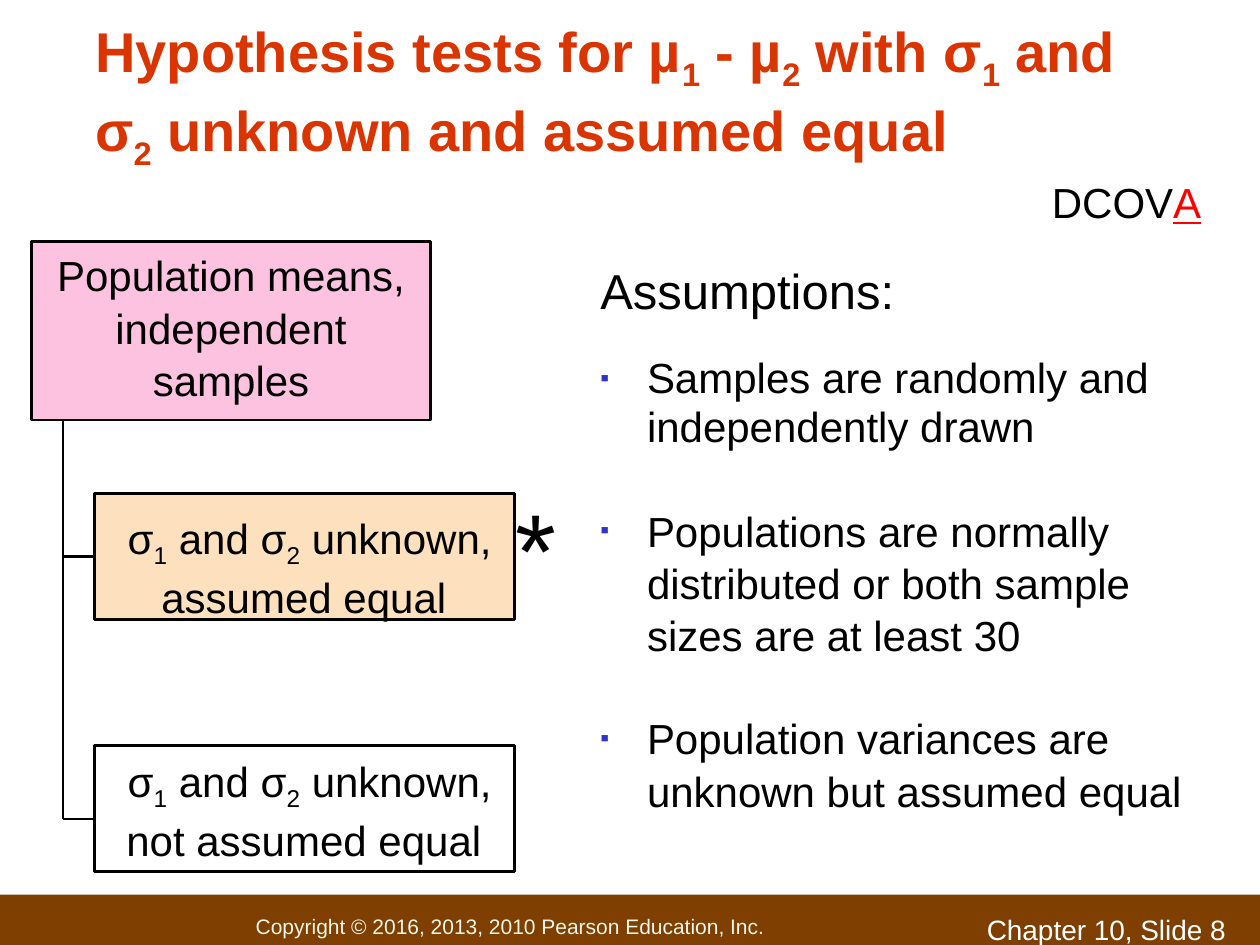
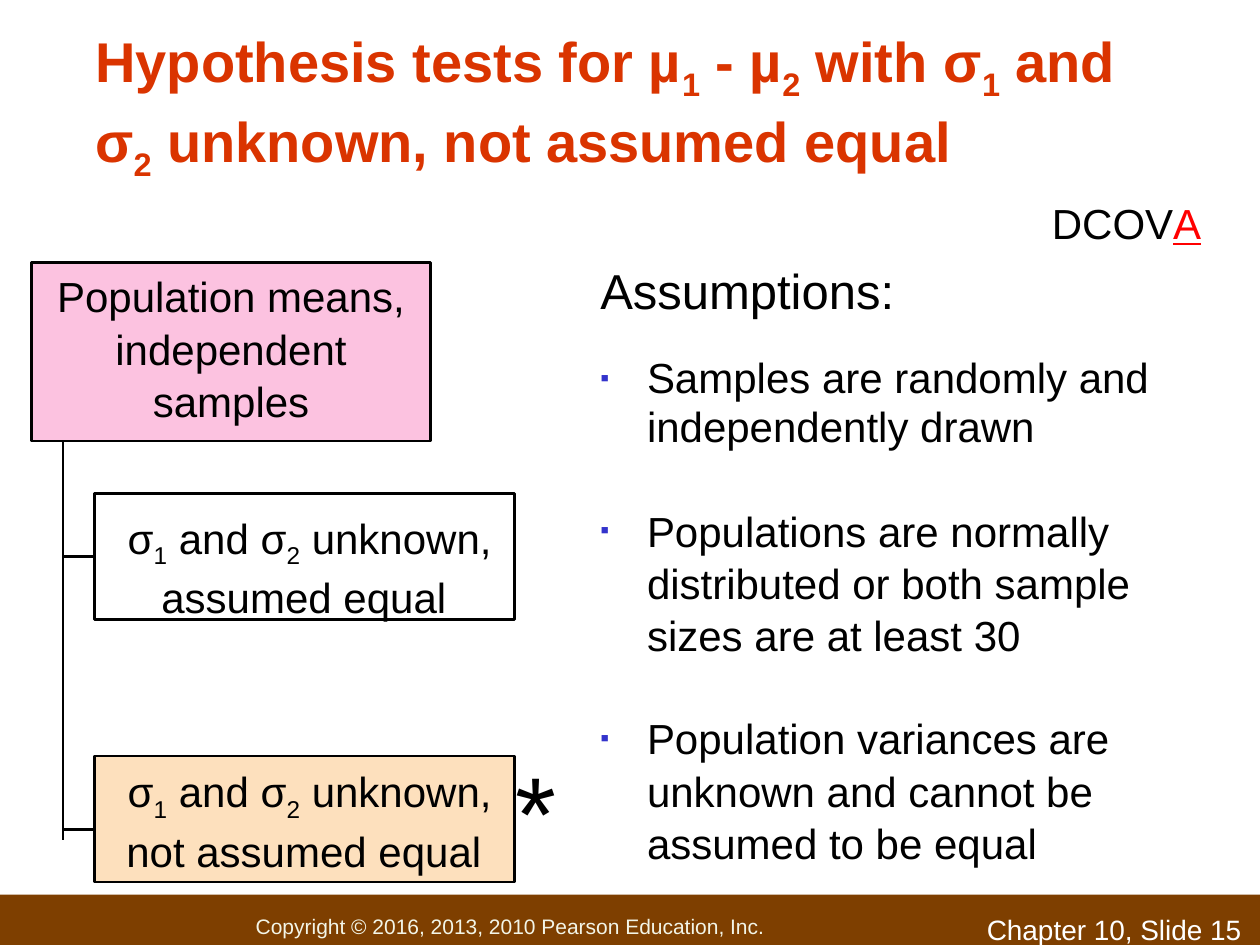
import pptx
import pptx.util
import pptx.dml.color
import pptx.enum.shapes
import pptx.enum.text
import pptx.oxml.ns
import lxml.etree

COLUMNS, ROWS = 120, 90
BLACK, WHITE, RED = "000000", "FFFFFF", "FF0000"
TITLE, BAND, COPYRIGHT = "DA3400", "7E3F00", "F3F5E7"
PINK, PEACH, BULLET = "FCC2E0", "FDE0BD", "3333CC"
ALIGN = pptx.enum.text.PP_ALIGN
ANCHOR = pptx.enum.text.MSO_ANCHOR


def color(code):
    return pptx.dml.color.RGBColor.from_string(code)


class Deck:
    font = "Arial"
    line_width = 1.5
    spacing = 1.04
    insets = (0.1, 0.05, 0.1, 0.05)

    def __init__(self):
        self.prs = pptx.Presentation()
        self.prs.slide_width = pptx.util.Inches(10)
        self.prs.slide_height = pptx.util.Inches(7.5)
        self.slide = None

    def x(self, columns):
        return round(self.prs.slide_width * columns / COLUMNS)

    def y(self, rows):
        return round(self.prs.slide_height * rows / ROWS)

    def cells(self, left, top, width, height):
        return self.x(left), self.y(top), self.x(width), self.y(height)

    def add_slide(self):
        self.slide = self.prs.slides.add_slide(self.prs.slide_layouts[5])

    def frame(self, shape, insets=None, anchor=ANCHOR.TOP):
        frame = shape.text_frame
        frame.word_wrap = True
        frame.auto_size = pptx.enum.text.MSO_AUTO_SIZE.NONE
        frame.vertical_anchor = anchor
        sides = [pptx.util.Inches(inset) for inset in insets or self.insets]
        frame.margin_left, frame.margin_top, frame.margin_right, frame.margin_bottom = sides
        return frame

    def fill_paragraph(self, paragraph, text, size, code=BLACK, align=ALIGN.LEFT, bold=False):
        plain, *subscripted = text.split("_")
        paragraph.add_run().text = plain
        for part in subscripted:
            index = paragraph.add_run()
            index.text = part[0]
            index._r.get_or_add_rPr().set("baseline", "-25000")
            if part[1:]:
                paragraph.add_run().text = part[1:]
        paragraph.alignment = align
        paragraph.line_spacing = self.spacing
        paragraph.font.name = self.font
        paragraph.font.size = pptx.util.Pt(size)
        paragraph.font.bold = bold
        paragraph.font.color.rgb = color(code)

    def title(self, text, cells):
        heading = self.slide.shapes.title
        heading.left, heading.top, heading.width, heading.height = self.cells(*cells)
        frame = self.frame(heading, (0.09, 0.05, 0.09, 0.05), ANCHOR.BOTTOM)
        self.fill_paragraph(frame.paragraphs[0], text, 32, TITLE, bold=True)

    def text(self, text, cells, size, **style):
        box = self.slide.shapes.add_textbox(*self.cells(*cells))
        frame = self.frame(box)
        self.fill_paragraph(frame.paragraphs[0], text, size, **style)
        return frame

    def box(self, text, cells, fill=None, line=BLACK, insets=None,
            anchor=ANCHOR.TOP, size=24, **style):
        shape = self.slide.shapes.add_shape(
            pptx.enum.shapes.MSO_SHAPE.RECTANGLE, *self.cells(*cells))
        shape.shadow.inherit = False
        if fill:
            shape.fill.solid()
            shape.fill.fore_color.rgb = color(fill)
        else:
            shape.fill.background()
        if line:
            shape.line.color.rgb = color(line)
            shape.line.width = pptx.util.Pt(self.line_width)
        else:
            shape.line.fill.background()
        frame = self.frame(shape, insets, anchor)
        self.fill_paragraph(frame.paragraphs[0], text, size, **style)
        return shape

    def line(self, x1, y1, x2, y2):
        line = self.slide.shapes.add_connector(
            pptx.enum.shapes.MSO_CONNECTOR.STRAIGHT,
            self.x(x1), self.y(y1), self.x(x2), self.y(y2))
        line.line.color.rgb = color(BLACK)
        line.line.width = pptx.util.Pt(self.line_width)
        lxml.etree.SubElement(line._element.spPr, pptx.oxml.ns.qn("a:effectLst"))
        return line

    def bullet(self, frame, text, gap, spacing):
        paragraph = frame.add_paragraph()
        properties = paragraph._p.get_or_add_pPr()
        indent = pptx.util.Inches(0.37)
        properties.set("marL", str(indent))
        properties.set("indent", str(-indent))
        tint = lxml.etree.SubElement(properties, pptx.oxml.ns.qn("a:buClr"))
        lxml.etree.SubElement(tint, pptx.oxml.ns.qn("a:srgbClr"), val=BULLET)
        for tag, attributes in (("a:buSzPct", {"val": "60000"}),
                                ("a:buFont", {"typeface": self.font}),
                                ("a:buChar", {"char": "▪"})):
            lxml.etree.SubElement(properties, pptx.oxml.ns.qn(tag), attributes)
        self.fill_paragraph(paragraph, text, 24)
        paragraph.space_before = pptx.util.Pt(gap)
        paragraph.line_spacing = spacing

    def footer(self, number):
        self.box("Copyright © 2016, 2013, 2010 Pearson Education, Inc.",
                 (0, 85.2, COLUMNS, 5.9), BAND, None, (2.03, 0, 0, 0),
                 ANCHOR.MIDDLE, 12, code=COPYRIGHT)
        self.text(f"Chapter 10, Slide {number}", (92.8, 86.2, 28, 3.1), 16, code=WHITE)

    def step_marker(self, top):
        marker = self.text("DCOV", (99, top, 19, 6), 24).paragraphs[0]
        current = marker.add_run()
        current.text = "A"
        current.font.underline = True
        current.font.color.rgb = color(RED)

    def tree(self, root_top, cases, chosen):
        trunk, case_left, case_height = 6, 9, 12
        root_height = 17
        self.box("Population means, independent samples",
                 (3, root_top, 38, root_height), PINK,
                 insets=(0.18, 0.05, 0.18, 0.05), align=ALIGN.CENTER)
        root_bottom = root_top + root_height
        self.line(trunk, root_bottom, trunk, root_bottom + 38)
        for position, (text, top, branch, inset) in enumerate(cases):
            is_chosen = position == chosen
            case = self.box(text, (case_left, top, 40, case_height),
                            PEACH if is_chosen else None,
                            insets=(0.18, inset, 0.1, 0), align=ALIGN.CENTER)
            twig = self.line(trunk, branch, case_left, branch)
            if branch == top + case_height / 2:
                twig.end_connect(case, 1)
            if is_chosen:
                self.text("*", (47, top - 2, 8, 13), 60, align=ALIGN.CENTER)

    def assumptions(self, variances, height):
        frame = self.text("Assumptions:", (56, 24, 58.5, height), 28)
        self.bullet(frame, "Samples are randomly and independently drawn", 19.5, 0.98)
        for text in ("Populations are normally distributed or both sample sizes "
                     "are at least 30", variances):
            self.bullet(frame, text, 29, self.spacing)


def main():
    deck = Deck()
    slides = (
        dict(number=8, ending=" unknown and assumed equal", title=(8, 1, 104, 16),
             marker=16, root=23, other_case=71, chosen=0, height=57,
             variances="Population variances are unknown but assumed equal"),
        dict(number=15, ending=" unknown, not assumed equal", title=(8, 2, 102, 16),
             marker=18, root=25, other_case=72, chosen=1, height=62,
             variances="Population variances are unknown and cannot be assumed to be equal"),
    )
    for content in slides:
        deck.add_slide()
        deck.footer(content["number"])
        deck.title("Hypothesis tests for µ_1 - µ_2 with σ_1 and σ_2" + content["ending"],
                   content["title"])
        deck.step_marker(content["marker"])
        other_case = content["other_case"]
        cases = (("σ_1 and σ_2 unknown, assumed equal ", 47, 53, 0.13),
                 ("σ_1 and σ_2 unknown, not assumed equal ", other_case, other_case + 7, 0.06))
        deck.tree(content["root"], cases, content["chosen"])
        deck.assumptions(content["variances"], content["height"])
    deck.prs.save("out.pptx")


if __name__ == "__main__":
    main()
